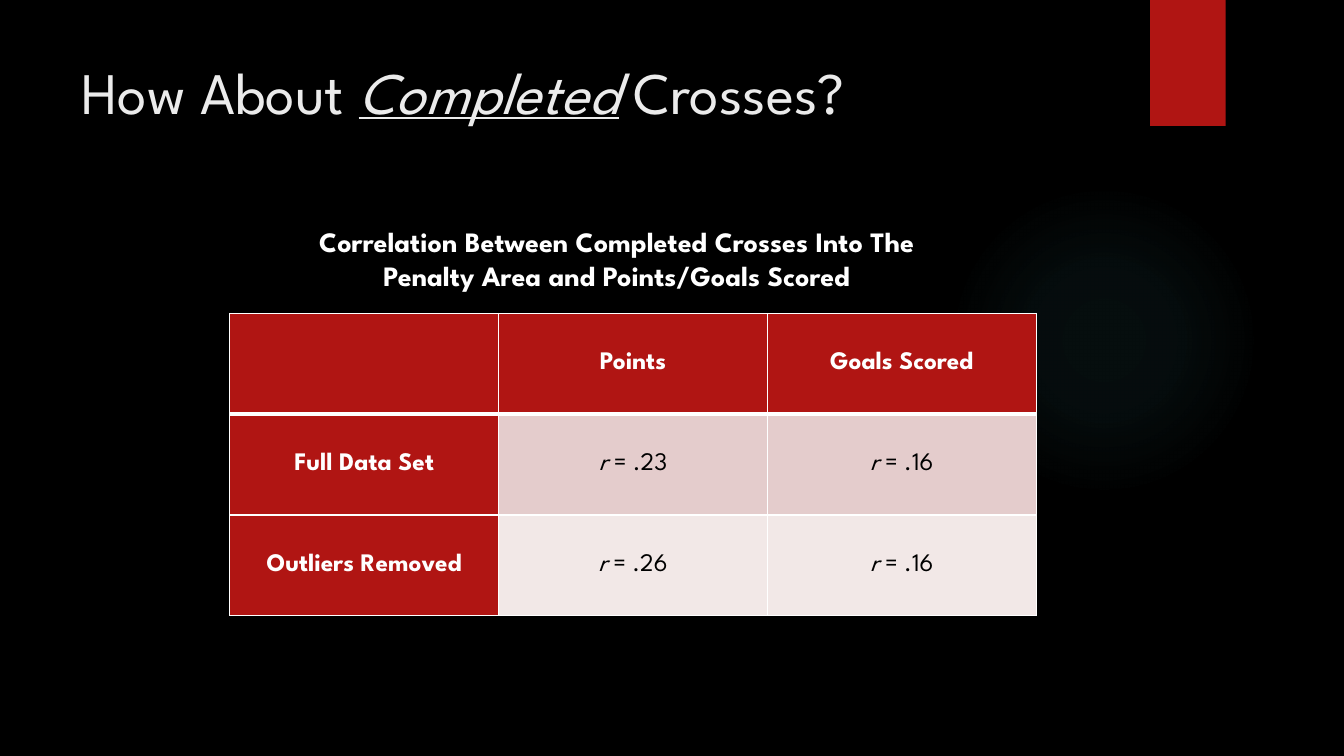
from dataclasses import dataclass

from pptx import Presentation
from pptx.dml.color import RGBColor
from pptx.enum.shapes import MSO_SHAPE as Shape
from pptx.enum.text import MSO_ANCHOR as Anchor, MSO_AUTO_SIZE as AutoSize, PP_ALIGN as Align
from pptx.oxml import parse_xml
from pptx.oxml.ns import nsdecls, qn
from pptx.util import Pt


@dataclass(frozen=True)
class Theme:
    """Colours, font and type sizes of the slide."""
    font: str = "League Spartan"
    background: str = "000000"
    accent: str = "B01513"
    glow: str = "50B9C1"
    title: str = "EBEBEB"
    light: str = "FFFFFF"
    dark: str = "000000"
    bands: tuple[str, ...] = ("E4CCCC", "F2E8E7")
    title_size: float = 42
    caption_size: float = 20
    table_size: float = 18


@dataclass(frozen=True)
class Box:
    """A position and size in points."""
    left: float
    top: float
    width: float
    height: float

    def emu(self) -> tuple[Pt, ...]:
        """Return the four lengths for python-pptx."""
        return Pt(self.left), Pt(self.top), Pt(self.width), Pt(self.height)


@dataclass(frozen=True)
class Span:
    """A stretch of text with its own emphasis."""
    text: str
    italic: bool = False
    underline: bool = False


@dataclass(frozen=True)
class DataRow:
    """A table row with one correlation per column."""
    label: str
    values: tuple[str, ...]


THEME = Theme()
TITLE = [Span("How About "), Span("Completed", True, True), Span(" Crosses?")]
CAPTION = "Correlation Between Completed Crosses Into The Penalty Area and Points/Goals Scored"
HEADINGS = ("", "Points", "Goals Scored")
ROWS = [DataRow("Full Data Set", (".23", ".16")), DataRow("Outliers Removed", (".26", ".16"))]
GLOW_STOPS = ((0, 7), (36, 6), (69, 0))

TITLE_BOX = Box(51.1, 36, 740.9, 110.2)
GLOW_BOX = Box(677.5, 131.8, 221.8, 221.8)
TAG_BOX = Box(821.5, 0, 54, 90)
CAPTION_BOX = Box(214.6, 157, 452.2, 55.4)
TABLE_BOX = Box(164.2, 223.9, 576, 216)


def rgb(color: str) -> RGBColor:
    """Turn a hex string into a colour."""
    return RGBColor.from_string(color)


def write(p, spans: list[Span], size: float, color: str, bold: bool = False, align=Align.CENTER) -> None:
    """Fill a paragraph with formatted spans."""
    p.alignment = align
    for span in spans:
        r = p.add_run()
        r.text = span.text
        font = r.font
        font.name, font.size, font.bold = THEME.font, Pt(size), bold
        font.italic, font.underline = span.italic, span.underline
        font.color.rgb = rgb(color)


def add_plain_shape(slide, kind: Shape, box: Box, color: str):
    """Add a filled shape without line or shadow."""
    sp = slide.shapes.add_shape(kind, *box.emu())
    sp.shadow.inherit = False
    sp.fill.solid()
    sp.fill.fore_color.rgb = rgb(color)
    sp.line.fill.background()
    return sp


def fade(sp, color: str) -> None:
    """Give a shape a radial fill that fades to clear."""
    stops = "".join(
        f'<a:gs pos="{pos * 1000}"><a:srgbClr val="{color}"><a:alpha val="{alpha * 1000}"/></a:srgbClr></a:gs>'
        for pos, alpha in GLOW_STOPS)
    gradient = parse_xml(
        f'<a:gradFill {nsdecls("a")}><a:gsLst>{stops}</a:gsLst><a:path path="circle">'
        '<a:fillToRect l="50000" t="50000" r="50000" b="50000"/></a:path></a:gradFill>')
    props = sp.element.spPr
    props.replace(props.find(qn("a:solidFill")), gradient)


def set_borders(cell, top: float, bottom: float) -> None:
    """Draw the four borders of a cell, 1 pt at the sides."""
    widths = {"lnL": 1, "lnR": 1, "lnT": top, "lnB": bottom}
    props = cell._tc.get_or_add_tcPr()
    for i, (tag, width) in enumerate(widths.items()):
        props.insert(i, parse_xml(
            f'<a:{tag} {nsdecls("a")} w="{Pt(width)}"><a:solidFill>'
            f'<a:srgbClr val="{THEME.light}"/></a:solidFill></a:{tag}>'))


def add_title(slide) -> None:
    """Place and format the slide title."""
    title = slide.shapes.title
    title.left, title.top, title.width, title.height = TITLE_BOX.emu()
    tf = title.text_frame
    tf.auto_size, tf.word_wrap, tf.vertical_anchor = AutoSize.NONE, True, Anchor.TOP
    write(tf.paragraphs[0], TITLE, THEME.title_size, THEME.title, align=Align.LEFT)


def add_caption(slide) -> None:
    """Add the heading above the table."""
    tf = slide.shapes.add_textbox(*CAPTION_BOX.emu()).text_frame
    tf.word_wrap = True
    write(tf.paragraphs[0], [Span(CAPTION)], THEME.caption_size, THEME.light, bold=True)


def add_correlations(slide) -> None:
    """Add the table of correlations."""
    grid = [[[Span(text)] if text else [] for text in HEADINGS]]
    for row in ROWS:
        grid.append([[Span(row.label)]] + [[Span("r", True), Span(f" = {v}")] for v in row.values])
    table = slide.shapes.add_table(len(grid), len(HEADINGS), *TABLE_BOX.emu()).table
    table.first_row = table.horz_banding = False
    for i, row in enumerate(grid):
        for j, spans in enumerate(row):
            cell = table.cell(i, j)
            heading = i == 0 or j == 0
            cell.vertical_anchor = Anchor.MIDDLE
            cell.fill.solid()
            cell.fill.fore_color.rgb = rgb(THEME.accent if heading else THEME.bands[i - 1])
            set_borders(cell, top=3 if i == 1 else 1, bottom=3 if i == 0 else 1)
            color = THEME.light if heading else THEME.dark
            write(cell.text_frame.paragraphs[0], spans, THEME.table_size, color, bold=heading)


def main() -> None:
    """Build and save the slide."""
    prs = Presentation()
    prs.slide_width, prs.slide_height = Pt(960), Pt(540)
    slide = prs.slides.add_slide(prs.slide_layouts[5])
    slide.background.fill.solid()
    slide.background.fill.fore_color.rgb = rgb(THEME.background)
    fade(add_plain_shape(slide, Shape.OVAL, GLOW_BOX, THEME.glow), THEME.glow)
    add_plain_shape(slide, Shape.RECTANGLE, TAG_BOX, THEME.accent)
    add_title(slide)
    add_correlations(slide)
    add_caption(slide)
    prs.save("out.pptx")


if __name__ == "__main__":
    main()
